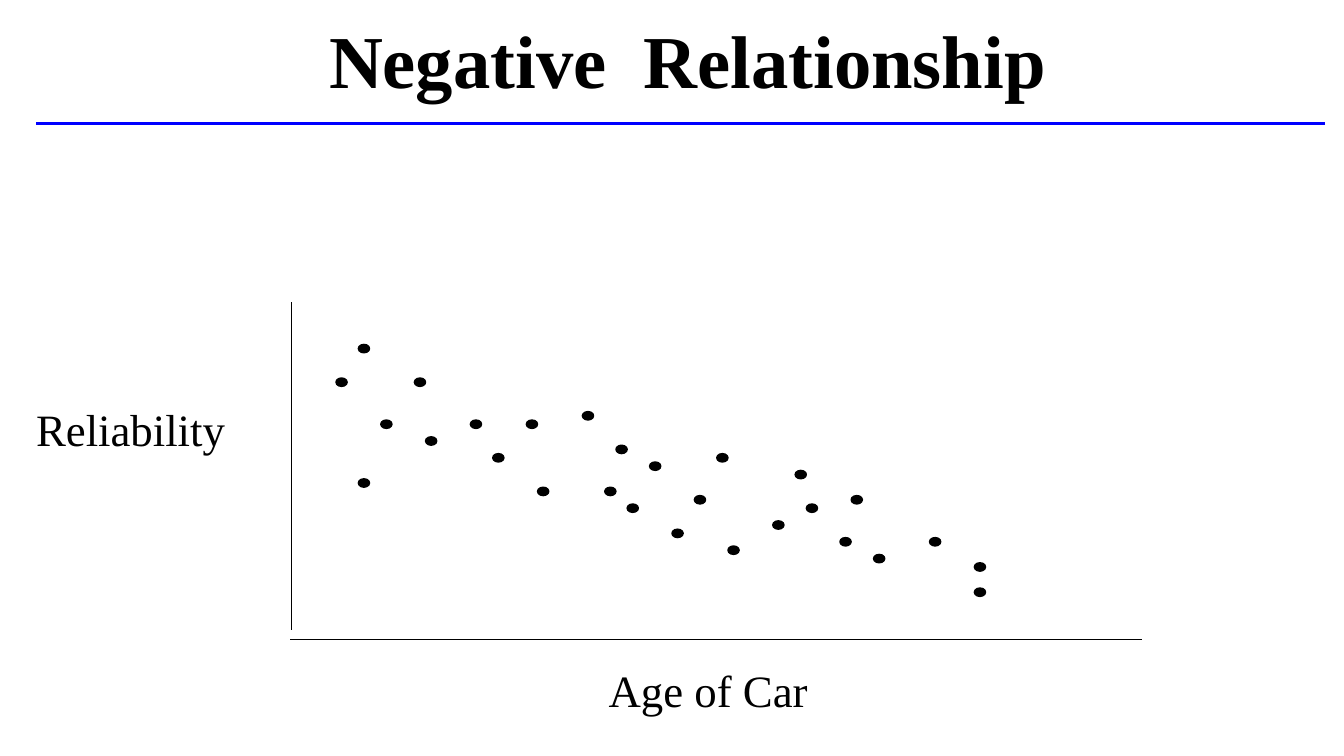
from dataclasses import dataclass

from pptx import Presentation
from pptx.dml.color import RGBColor
from pptx.enum.shapes import MSO_CONNECTOR, MSO_SHAPE
from pptx.enum.text import MSO_ANCHOR, MSO_AUTO_SIZE, PP_ALIGN
from pptx.oxml.ns import qn
from pptx.util import Inches, Pt

STRAIGHT = MSO_CONNECTOR.STRAIGHT
OVAL = MSO_SHAPE.OVAL
MIDDLE = MSO_ANCHOR.MIDDLE
CENTER = PP_ALIGN.CENTER
NO_FIT = MSO_AUTO_SIZE.NONE
GROW = MSO_AUTO_SIZE.SHAPE_TO_FIT_TEXT
TITLE_ONLY = 5


@dataclass(frozen=True)
class Theme:
    """Colours, font and sizes of the slide."""
    ink: RGBColor = RGBColor(0, 0, 0)
    rule: RGBColor = RGBColor(0, 0, 255)
    font: str = "Times New Roman"
    title_size: Pt = Pt(40)
    label_size: Pt = Pt(24)
    thin: Pt = Pt(0.75)
    thick: Pt = Pt(1.5)


THEME = Theme()
SLIDE_WIDTH = 10
SLIDE_HEIGHT = SLIDE_WIDTH * 9 / 16
COLUMNS_PER_INCH = 12
ROWS_PER_INCH = 16
CAR_POINTS = [
    (30, 45), (32, 41), (32, 57), (34, 50), (37, 45), (38, 52), (42, 50),
    (44, 54), (47, 50), (48, 58), (52, 49), (54, 58), (55, 53), (56, 60),
    (58, 55), (60, 63), (62, 59), (64, 54), (65, 65), (69, 62), (71, 56),
    (72, 60), (75, 64), (76, 59), (78, 66), (83, 64), (87, 67), (87, 70),
]


def style_font(paragraph, size, bold=False):
    """Apply the theme font to a paragraph."""
    paragraph.font.name = THEME.font
    paragraph.font.size = size
    paragraph.font.bold = bold
    paragraph.font.color.rgb = THEME.ink


def set_title(slide, text):
    """Place and format the title placeholder."""
    title = slide.shapes.title
    title.left, title.top = Inches(0.35), Inches(0.15)
    title.width, title.height = Inches(9.53), Inches(0.69)
    frame = title.text_frame
    frame.text = text
    frame.word_wrap = True
    frame.auto_size = NO_FIT
    frame.vertical_anchor = MIDDLE
    paragraph = frame.paragraphs[0]
    paragraph.alignment = CENTER
    paragraph.line_spacing = 0.8
    paragraph.space_before = Pt(0)
    style_font(paragraph, THEME.title_size, bold=True)


def add_line(slide, start, end, color, width):
    """Draw a straight line without a shadow."""
    line = slide.shapes.add_connector(STRAIGHT, *map(Inches, start + end))
    line.line.color.rgb = color
    line.line.width = width
    properties = line._element.spPr
    properties.append(properties.makeelement(qn("a:effectLst"), {}))


def add_axis_label(slide, text, left, top, width):
    """Add the name of an axis."""
    box = slide.shapes.add_textbox(Inches(left), Inches(top), Inches(width), Inches(0.5))
    frame = box.text_frame
    frame.text = text
    frame.word_wrap = False
    frame.auto_size = GROW
    style_font(frame.paragraphs[0], THEME.label_size)


def add_point(slide, column, row):
    """Draw one scatter point at a grid position."""
    point = slide.shapes.add_shape(
        OVAL, Inches(column / COLUMNS_PER_INCH), Inches(row / ROWS_PER_INCH),
        Inches(1 / COLUMNS_PER_INCH), Inches(1 / ROWS_PER_INCH))
    point.shadow.inherit = False
    point.fill.solid()
    point.fill.fore_color.rgb = THEME.ink
    point.line.color.rgb = THEME.ink
    point.line.width = THEME.thin


def main():
    """Build and save the slide."""
    presentation = Presentation()
    presentation.slide_width = Inches(SLIDE_WIDTH)
    presentation.slide_height = Inches(SLIDE_HEIGHT)
    slide = presentation.slides.add_slide(presentation.slide_layouts[TITLE_ONLY])
    set_title(slide, "Negative  Relationship")
    add_line(slide, (0.27, 0.92), (9.86, 0.92), THEME.rule, THEME.thick)
    add_line(slide, (2.17, 2.25), (2.17, 4.69), THEME.ink, THEME.thin)
    add_line(slide, (2.16, 4.76), (8.5, 4.76), THEME.ink, THEME.thin)
    add_axis_label(slide, "Reliability", 0.17, 2.94, 1.61)
    add_axis_label(slide, "Age of Car", 4.43, 4.88, 1.68)
    for column, row in CAR_POINTS:
        add_point(slide, column, row)
    presentation.save("out.pptx")


if __name__ == "__main__":
    main()
